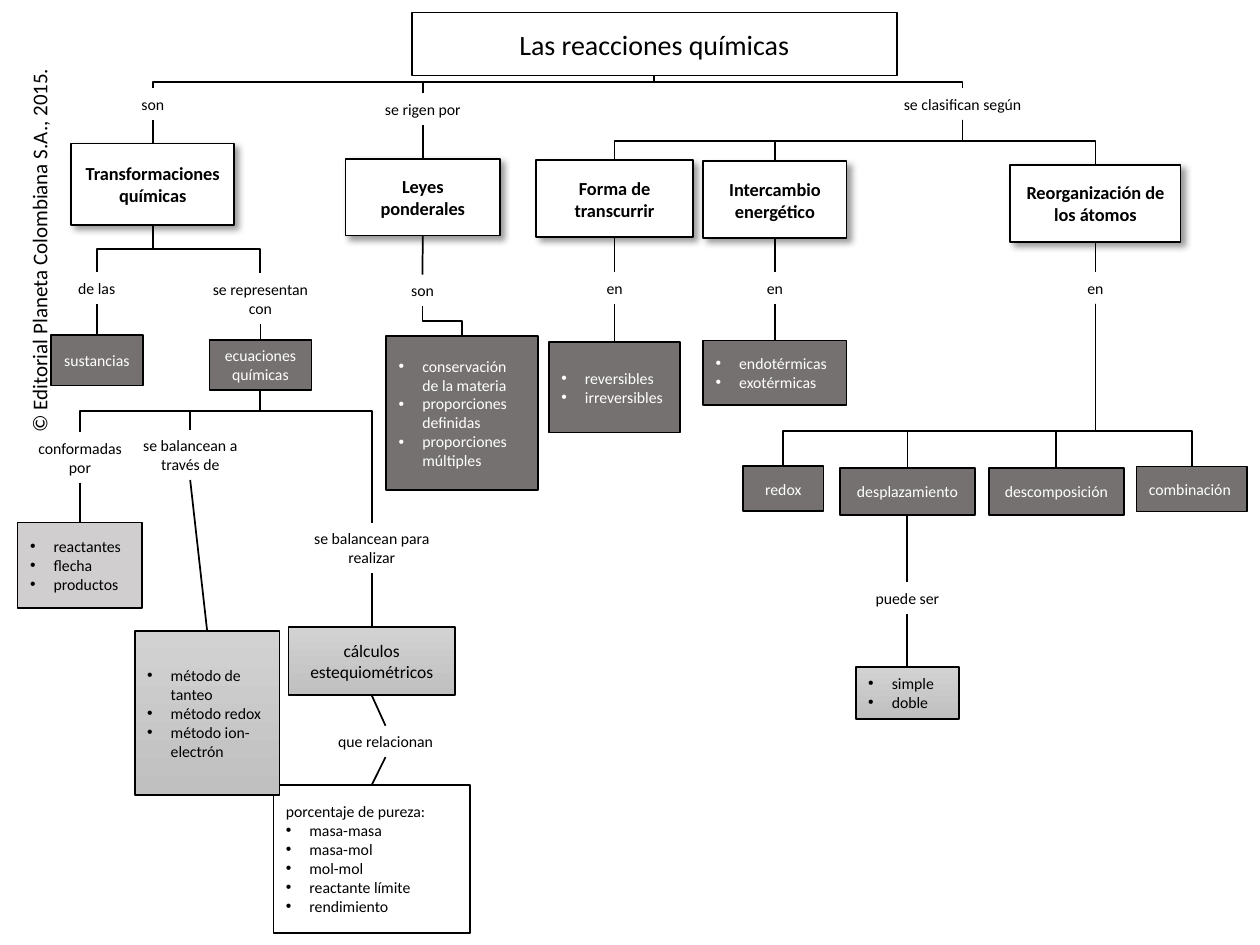
from lxml.etree import SubElement
from pptx import Presentation
from pptx.dml.color import RGBColor
from pptx.enum.shapes import MSO_CONNECTOR as CONN, MSO_SHAPE
from pptx.enum.text import MSO_ANCHOR as ANCHOR, MSO_AUTO_SIZE as AUTO, PP_ALIGN as ALIGN
from pptx.oxml.ns import qn
from pptx.util import Pt

rgb = RGBColor.from_string
BLACK, WHITE, DARK, LIGHT = "000000", "FFFFFF", "767171", "D0CECE"


def add_text(tf, text, size=9, color=BLACK, bold=False, align=ALIGN.CENTER, bullets_from=None):
    """Write one paragraph per line; lines from index bullets_from on get a bullet."""
    for i, line in enumerate(text.split("\n")):
        p = tf.paragraphs[0] if i == 0 else tf.add_paragraph()
        p.alignment = align
        if bullets_from is not None and i >= bullets_from:
            pPr = p._p.get_or_add_pPr()
            pPr.set("marL", str(Pt(13.5)))
            pPr.set("indent", str(-Pt(13.5)))
            SubElement(pPr, qn("a:buFont")).set("typeface", "Arial")
            SubElement(pPr, qn("a:buChar")).set("char", "•")
        r = p.add_run()
        r.text = line
        r.font.name, r.font.size, r.font.bold = "Calibri", Pt(size), bold
        r.font.color.rgb = rgb(color)


prs = Presentation()
prs.slide_width, prs.slide_height = Pt(720), Pt(540)
slide = prs.slides.add_slide(prs.slide_layouts[5])
shapes = slide.shapes

# Copyright line on the left edge
s = shapes.add_textbox(Pt(-90), Pt(131), Pt(224.6), Pt(21.6))
s.rotation = 270
s.text_frame.word_wrap = False
add_text(s.text_frame, "© Editorial Planeta Colombiana S.A., 2015.", size=12, align=ALIGN.LEFT)

# Root concept
title = shapes.title
title.left, title.top, title.width, title.height = Pt(235.3), Pt(7.2), Pt(277.2), Pt(36)
title.fill.solid()
title.fill.fore_color.rgb = rgb(WHITE)
title.line.color.rgb, title.line.width = rgb(BLACK), Pt(1)
title.text_frame.vertical_anchor = ANCHOR.MIDDLE
add_text(title.text_frame, "Las reacciones químicas", size=16)
nodes = {"title": title}

# Linking words: key, text, centre x, top, width, height (two-line ones wrap)
links = [
    ("are", "son", 87.3, 50.4, 27.4, 18),
    ("ruled", "se rigen por", 241.6, 53.3, 58.3, 18),
    ("classified", "se clasifican según", 550, 50.4, 82, 18),
    ("of", "de las", 55.3, 155.5, 36, 18),
    ("represented", "se representan con", 148.8, 156.2, 79.2, 28.8),
    ("laws are", "son", 241.4, 157, 27.4, 18),
    ("course in", "en", 351.2, 155.5, 23.8, 18),
    ("energy in", "en", 442.8, 155.5, 23.8, 18),
    ("atoms in", "en", 626, 155.5, 23.8, 18),
    ("formed", "conformadas por", 45.7, 247, 71.3, 28.8),
    ("balanced by", "se balancean a través de", 108.7, 245.5, 82, 28.8),
    ("balanced to", "se balancean para realizar", 212.4, 298.8, 82, 28.8),
    ("can be", "puede ser", 518.5, 332.6, 51, 18),
    ("relate", "que relacionan", 220.3, 414.7, 69, 18),
]
for key, text, cx, top, w, h in links:
    s = nodes[key] = shapes.add_textbox(Pt(cx - w / 2), Pt(top), Pt(w), Pt(h))
    s.text_frame.word_wrap = h > 18
    s.text_frame.auto_size = AUTO.SHAPE_TO_FIT_TEXT
    add_text(s.text_frame, text)

# Concept boxes: fill ("gradient" or hex), then text format
main = (WHITE, dict(size=10.5, bold=True))
dark = (DARK, dict(color=WHITE))
dark_left = (DARK, dict(color=WHITE, align=ALIGN.LEFT))
bullets = dict(align=ALIGN.LEFT, bullets_from=0)
dark_list = (DARK, dict(color=WHITE, **bullets))
light_list = (LIGHT, bullets)
gradient_list = ("gradient", bullets)
gradient_box = ("gradient", dict(size=10))
purity_list = (WHITE, dict(align=ALIGN.LEFT, bullets_from=1))

# Key, text, centre x, top, width, height, style
boxes = [
    ("transformations", "Transformaciones químicas", 87.3, 82, 93.2, 46.4, main),
    ("laws", "Leyes ponderales", 241.6, 90.7, 88.3, 44, main),
    ("course", "Forma de transcurrir", 351.2, 91.6, 89.4, 44, main),
    ("energy", "Intercambio energético", 442.8, 92.2, 82, 44, main),
    ("atoms", "Reorganización de los átomos", 626, 94.4, 97.4, 44, main),
    ("substances", "sustancias", 55.3, 191.5, 52.7, 28.8, dark),
    ("equations", "ecuaciones químicas", 148.8, 194.2, 58.3, 28.8, dark),
    ("conservation", "conservación de la materia\nproporciones definidas\nproporciones múltiples",
     264.2, 192.2, 86.8, 87.8, dark_list),
    ("reversible", "reversibles\nirreversibles", 351.2, 195.6, 75, 51.6, dark_list),
    ("thermic", "endotérmicas\nexotérmicas", 442.8, 194.6, 82, 37, dark_list),
    ("redox", "redox", 447.6, 266.4, 46.1, 25.8, dark),
    ("displacement", "desplazamiento", 518.5, 267.4, 77.2, 27, dark),
    ("decomposition", "descomposición", 603.6, 267.4, 77.2, 27, dark),
    ("combination", "combinación", 681.1, 266.6, 63.4, 25.8, dark_left),
    ("reactants", "reactantes\nflecha\nproductos", 45.7, 298.6, 71.3, 49, light_list),
    ("calculations", "cálculos estequiométricos", 212.4, 358.4, 95, 38.9, gradient_box),
    ("simple", "simple\ndoble", 518.5, 381, 59, 30, gradient_list),
    ("purity", "porcentaje de pureza:\nmasa-masa\nmasa-mol\nmol-mol\nreactante límite\nrendimiento",
     212.4, 448.6, 112.3, 84.4, purity_list),
    ("methods", "método de tanteo\nmétodo redox\nmétodo ion-electrón",
     118.4, 360.6, 82.8, 93.6, gradient_list),
]
for key, text, cx, top, w, h, style in boxes:
    fill, text_format = style
    s = nodes[key] = shapes.add_shape(MSO_SHAPE.RECTANGLE, Pt(cx - w / 2), Pt(top), Pt(w), Pt(h))
    s.shadow.inherit = False
    if fill == "gradient":
        s.fill.gradient()
        s.fill.gradient_angle = 270
        for stop, color in zip(s.fill.gradient_stops, ("D2D2D2", "C0C0C0")):
            stop.color.rgb = rgb(color)
    else:
        s.fill.solid()
        s.fill.fore_color.rgb = rgb(fill)
    s.line.color.rgb, s.line.width = rgb(BLACK), Pt(1)
    if style is main:
        effects = s._element.spPr.find(qn("a:effectLst"))
        shadow = SubElement(effects, qn("a:outerShdw"), blurRad=str(Pt(4)), dist=str(Pt(3)),
                            dir="2700000", algn="tl", rotWithShape="0")
        shade = SubElement(shadow, qn("a:srgbClr"), val=BLACK)
        SubElement(shade, qn("a:alpha"), val="40000")
    s.text_frame.word_wrap = True
    s.text_frame.vertical_anchor = ANCHOR.MIDDLE
    add_text(s.text_frame, text, **text_format)

# Parent, height of the horizontal branch (None for a straight line), children
branches = [
    ("title", 46.8, ["are", "ruled", "classified"]),
    ("are", None, ["transformations"]),
    ("ruled", None, ["laws"]),
    ("classified", 80.5, ["course", "energy", "atoms"]),
    ("transformations", 142.2, ["of", "represented"]),
    ("of", None, ["substances"]),
    ("represented", None, ["equations"]),
    ("laws", None, ["laws are"]),
    ("laws are", 183.6, ["conservation"]),
    ("course", None, ["course in"]),
    ("course in", None, ["reversible"]),
    ("energy", None, ["energy in"]),
    ("energy in", None, ["thermic"]),
    ("atoms", None, ["atoms in"]),
    ("atoms in", 246.3, ["redox", "displacement", "decomposition", "combination"]),
    ("displacement", None, ["can be"]),
    ("can be", None, ["simple"]),
    ("equations", 234.8, ["formed", "balanced by", "balanced to"]),
    ("formed", None, ["reactants"]),
    ("balanced by", None, ["methods"]),
    ("balanced to", None, ["calculations"]),
    ("calculations", None, ["relate"]),
    ("relate", None, ["purity"]),
]
for parent_key, branch_y, children in branches:
    parent = nodes[parent_key]
    x1, y1 = parent.left + parent.width // 2, parent.top + parent.height
    for child in (nodes[key] for key in children):
        x2, y2 = child.left + child.width // 2, child.top
        kind = CONN.STRAIGHT if branch_y is None else CONN.ELBOW
        c = shapes.add_connector(kind, x1, y1, x2, y2)
        c.begin_connect(parent, 2)
        c.end_connect(child, 0)
        c.line.color.rgb, c.line.width = rgb(BLACK), Pt(1)
        spPr = c._element.spPr
        SubElement(spPr, qn("a:effectLst"))
        if branch_y is not None:
            # An elbow that leaves downwards is a sideways one, turned a quarter
            dx, dy = abs(x2 - x1), y2 - y1
            c.left, c.top = (x1 + x2 - dy) // 2, (y1 + y2 - dx) // 2
            c.width, c.height = dy, dx
            xfrm = spPr.find(qn("a:xfrm"))
            xfrm.set("rot", "16200000" if x2 > x1 else "5400000")
            xfrm.set("flipH", "1" if x2 > x1 else "0")
            bend = round((Pt(branch_y) - y1) / dy * 100000)
            SubElement(spPr.find(".//" + qn("a:avLst")), qn("a:gd"), name="adj1", fmla=f"val {bend}")

prs.save("out.pptx")
